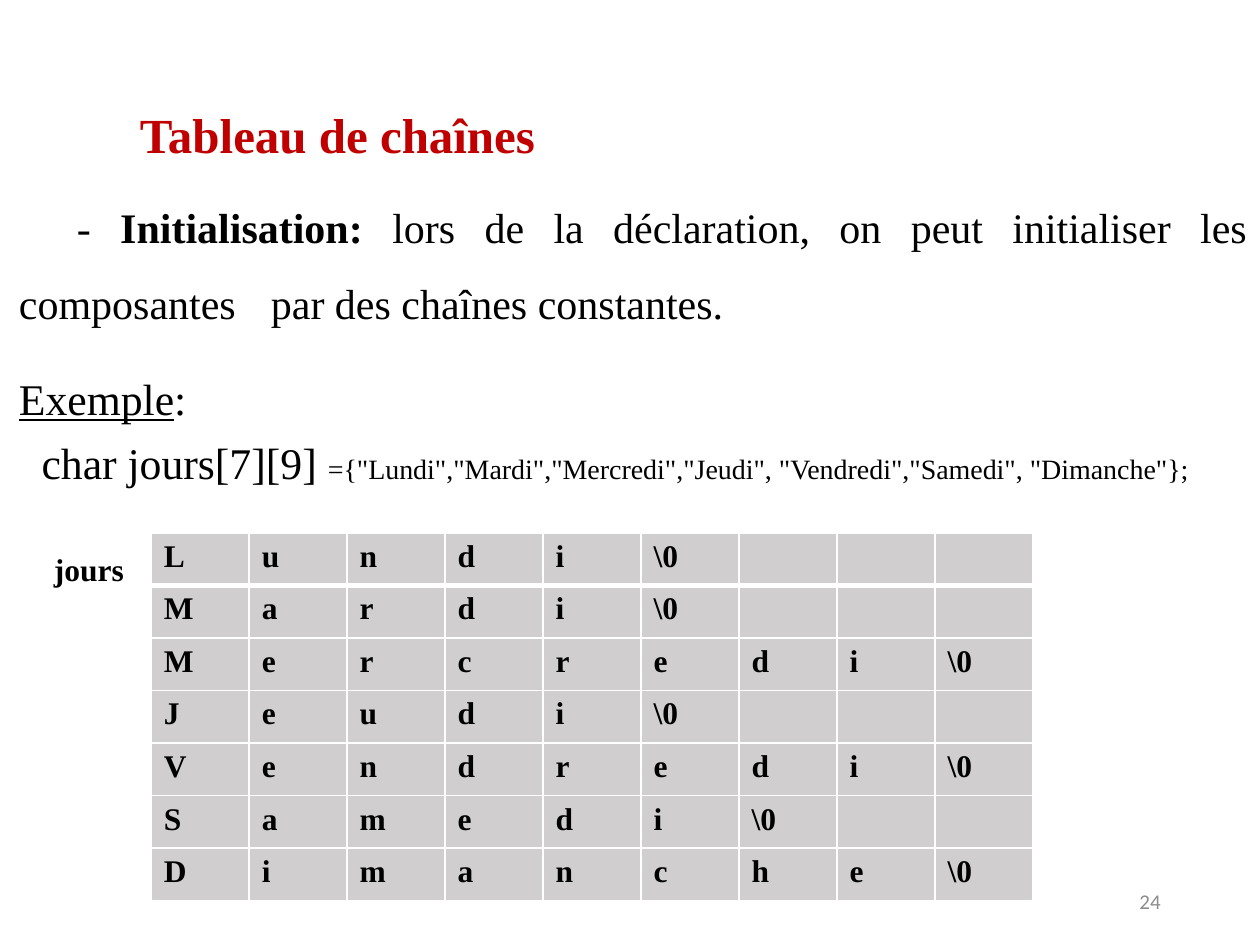
from dataclasses import dataclass
from typing import Optional

from lxml.etree import SubElement
from pptx import Presentation
from pptx.dml.color import RGBColor
from pptx.enum.text import MSO_ANCHOR as Anchor, MSO_AUTO_SIZE as AutoSize, PP_ALIGN as Align
from pptx.oxml.ns import qn
from pptx.util import Inches, Pt

BLACK = RGBColor(0x00, 0x00, 0x00)
WHITE = RGBColor(0xFF, 0xFF, 0xFF)
RED = RGBColor(0xC0, 0x00, 0x00)
GREY = RGBColor(0x8C, 0x8C, 0x8C)
CELL_GREY = RGBColor(0xD0, 0xCE, 0xCE)
SERIF = "Times New Roman"

DAYS = ["Lundi", "Mardi", "Mercredi", "Jeudi", "Vendredi", "Samedi", "Dimanche"]
LETTER_COUNT = 9


@dataclass
class Line:
    """A paragraph of the body and its spacing."""
    runs: list[tuple[str, dict]]
    align: Align
    spacing: float
    indent: float = 0
    tab: Optional[float] = None


def add_text(paragraph, text: str, *, size: float = 18, color: RGBColor = BLACK,
             font: str = SERIF, bold: bool = False, underline: bool = False) -> None:
    run = paragraph.add_run()
    run.text = text
    run.font.name, run.font.size = font, Pt(size)
    run.font.bold, run.font.underline = bold, underline
    run.font.color.rgb = color


def place(shape, left: float, top: float, width: float, height: float) -> None:
    shape.left, shape.top = Inches(left), Inches(top)
    shape.width, shape.height = Inches(width), Inches(height)


def add_line(paragraph, line: Line) -> None:
    paragraph.alignment = line.align
    paragraph.line_spacing = line.spacing
    paragraph.space_before = Pt(10)
    properties = paragraph._p.get_or_add_pPr()
    properties.set("marL", "0")
    properties.set("indent", str(Inches(line.indent)))
    SubElement(properties, qn("a:buNone"))
    if line.tab:
        stops = SubElement(properties, qn("a:tabLst"))
        SubElement(stops, qn("a:tab"), pos=str(Inches(line.tab)), algn="l")
    for text, style in line.runs:
        add_text(paragraph, text, **style)


def set_borders(cell, **widths: float) -> None:
    properties = cell._tc.get_or_add_tcPr()
    for side in "LRTB":
        border = SubElement(properties, qn(f"a:ln{side}"), w=str(Pt(widths.get(side, 1))))
        fill = SubElement(border, qn("a:solidFill"))
        SubElement(fill, qn("a:srgbClr"), val=str(WHITE))


def add_letter_grid(slide, words: list[str], columns: int) -> None:
    grid = slide.shapes.add_table(len(words), columns, Inches(1.2), Inches(4.23),
                                  Inches(7), Inches(2.92)).table
    for row, word in enumerate(words):
        letters = [*word, r"\0"]
        for column in range(columns):
            cell = grid.cell(row, column)
            # A thicker rule separates the first word from the rest
            set_borders(cell, B=3 if row == 0 else 1, T=3 if row == 1 else 1)
            cell.fill.solid()
            cell.fill.fore_color.rgb = CELL_GREY
            if column < len(letters):
                add_text(cell.text_frame.paragraphs[0], letters[column], bold=True)


def main() -> None:
    deck = Presentation()
    deck.slide_width, deck.slide_height = Inches(10), Inches(7.5)
    slide = deck.slides.add_slide(deck.slide_layouts[1])

    # Title
    title = slide.shapes.title
    place(title, 1.01, 0.83, 8.23, 0.52)
    title.text_frame.auto_size = AutoSize.NONE
    title.text_frame.vertical_anchor = Anchor.MIDDLE
    heading = title.text_frame.paragraphs[0]
    heading.alignment, heading.line_spacing = Align.LEFT, 0.9
    add_text(heading, "Tableau de chaînes", size=28, color=RED, bold=True)

    # Explanation and declaration
    lines = [
        Line([("- ", {"size": 24}),
              ("Initialisation: ", {"size": 24, "bold": True}),
              ("lors de la déclaration, on peut initialiser les composantes\t"
               "par des chaînes constantes.", {"size": 24})],
             Align.JUSTIFY, 1.5, indent=0.46, tab=2.06),
        Line([("Exemple", {"size": 25, "underline": True}), (":", {"size": 25})],
             Align.JUSTIFY, 1.5),
        Line([("char jours[7][9] ", {"size": 25}),
              ('={"Lundi","Mardi","Mercredi","Jeudi", "Vendredi","Samedi", "Dimanche"};',
               {"size": 16})],
             Align.LEFT, 0.9, indent=0.18),
    ]
    body = slide.placeholders[1]
    place(body, 0.05, 1.35, 9.95, 5.64)
    frame = body.text_frame
    frame.auto_size = AutoSize.NONE
    for number, line in enumerate(lines):
        add_line(frame.add_paragraph() if number else frame.paragraphs[0], line)

    # Page number
    page = slide.shapes.add_textbox(Inches(7.06), Inches(6.95), Inches(2.25), Inches(0.4))
    page.text_frame.word_wrap = True
    page.text_frame.vertical_anchor = Anchor.MIDDLE
    page_line = page.text_frame.paragraphs[0]
    page_line.alignment = Align.RIGHT
    add_text(page_line, "24", size=12, color=GREY, font="Calibri")

    # Array contents and its name
    add_letter_grid(slide, DAYS, LETTER_COUNT)
    array_name = slide.shapes.add_textbox(Inches(0.33), Inches(4.32), Inches(0.76), Inches(0.4))
    array_name.text_frame.word_wrap = False
    add_text(array_name.text_frame.paragraphs[0], "jours", bold=True)

    deck.save("out.pptx")


if __name__ == "__main__":
    main()
